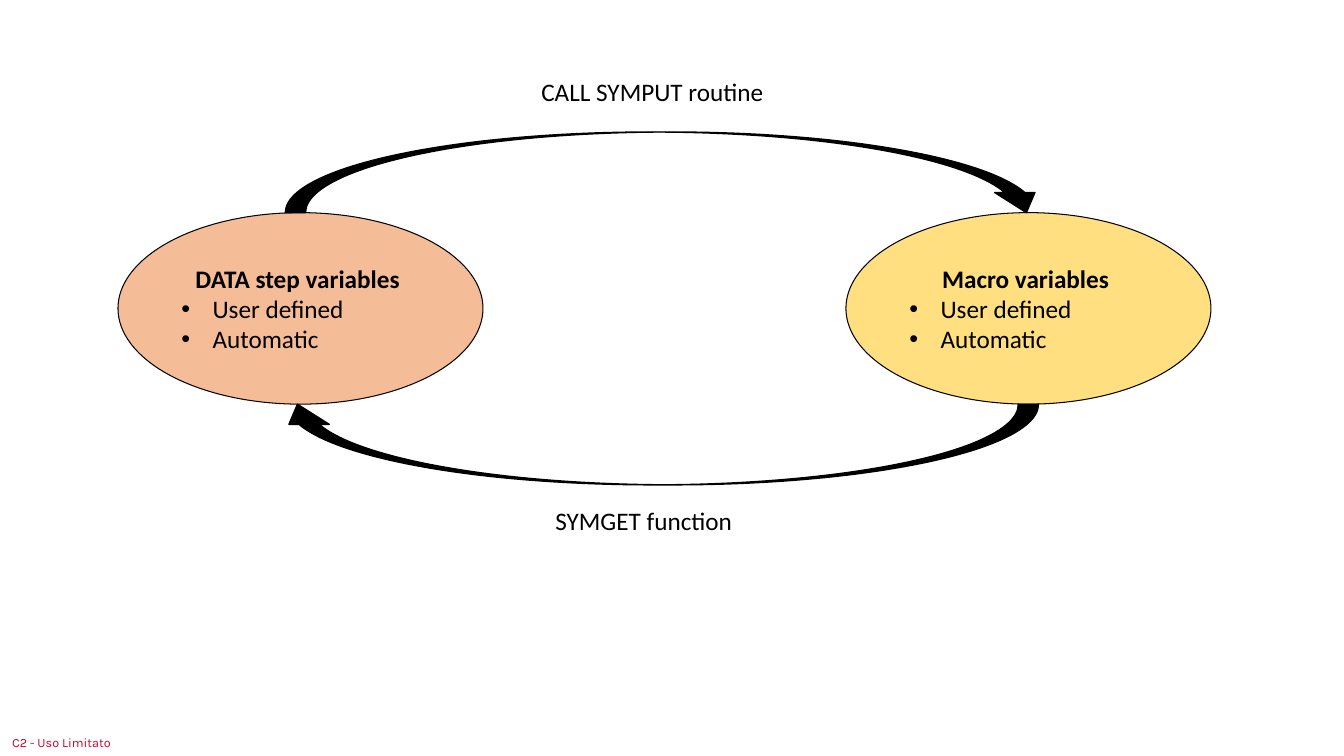
from lxml import etree
from pptx import Presentation
from pptx.dml.color import RGBColor
from pptx.enum.shapes import MSO_SHAPE
from pptx.enum.text import MSO_ANCHOR, PP_ALIGN
from pptx.oxml.ns import qn
from pptx.util import Inches, Pt

OVAL, CURVED_ARROW = MSO_SHAPE.OVAL, MSO_SHAPE.CURVED_DOWN_ARROW
MIDDLE, TOP = MSO_ANCHOR.MIDDLE, MSO_ANCHOR.TOP
CENTER, LEFT = PP_ALIGN.CENTER, PP_ALIGN.LEFT

COLORS = {"ink": "000000", "orange": "ED7D31", "gold": "FFC000", "red": "CF022B"}
BODY = {"name": "Calibri", "size": Pt(18), "bold": False}
HEADING = {**BODY, "bold": True}
SMALL = {"name": "Karla", "size": Pt(9), "bold": False}

# heading (its closing space shifts the centred line), left, colour
VARIABLE_GROUPS = [
    ("DATA step variables ", 1.17, "orange"),
    ("Macro variables ", 8.39, "gold"),
]
VARIABLE_KINDS = ["User defined", "Automatic"]
OVAL_TOP, OVAL_WIDTH, OVAL_HEIGHT = 2.11, 3.62, 1.9
ARROW_WIDTH, ARROW_HEIGHT = 7.55, 0.8
# left, top, rotation
ARROWS = [
    (2.83, OVAL_TOP - ARROW_HEIGHT, 0),
    (2.75, OVAL_TOP + OVAL_HEIGHT, 180),
]
# text, box, format, colour, anchor, margins (left and right, top and bottom)
LABELS = [
    ("CALL SYMPUT routine", (5.27, 0.71, 2.51, 0.4), BODY, "ink", TOP, (0.1, 0.05)),
    ("SYMGET function", (5.41, 4.96, 2.51, 0.4), BODY, "ink", TOP, (0.1, 0.05)),
    ("C2 - Uso Limitato", (0, 7.23, 1.25, 0.27), SMALL, "red", MIDDLE, (0.12, 0)),
]
BULLET_INDENT = 0.31


def color(name):
    return RGBColor.from_string(COLORS[name])


def write(paragraph, text, font_format, color_name, alignment=LEFT):
    paragraph.alignment = alignment
    run = paragraph.add_run()
    run.text = text
    for name, value in font_format.items():
        setattr(run.font, name, value)
    run.font.color.rgb = color(color_name)


def add_bullet(paragraph):
    properties = paragraph._p.get_or_add_pPr()
    properties.set("marL", str(Inches(BULLET_INDENT)))
    properties.set("indent", str(-Inches(BULLET_INDENT)))
    etree.SubElement(properties, qn("a:buFont")).set("typeface", "Arial")
    etree.SubElement(properties, qn("a:buChar")).set("char", "•")


def add_filled_shape(slide, kind, box, fill, line_width):
    shape = slide.shapes.add_shape(kind, *map(Inches, box))
    shape.shadow.inherit = False
    shape.fill.solid()
    shape.fill.fore_color.rgb = color(fill)
    shape.line.color.rgb = color("ink")
    shape.line.width = Pt(line_width)
    return shape


def add_variable_group(slide, heading, left, fill):
    box = (left, OVAL_TOP, OVAL_WIDTH, OVAL_HEIGHT)
    oval = add_filled_shape(slide, OVAL, box, fill, 0.75)
    fill_color = oval._element.spPr.find(qn("a:solidFill"))[0]
    etree.SubElement(fill_color, qn("a:alpha")).set("val", "50000")
    frame = oval.text_frame
    frame.word_wrap = True
    frame.vertical_anchor = MIDDLE
    write(frame.paragraphs[0], heading, HEADING, "ink", CENTER)
    for kind in VARIABLE_KINDS:
        paragraph = frame.add_paragraph()
        write(paragraph, kind, BODY, "ink")
        add_bullet(paragraph)


def add_label(slide, text, box, font_format, color_name, anchor, margins):
    frame = slide.shapes.add_textbox(*map(Inches, box)).text_frame
    frame.word_wrap = True
    frame.vertical_anchor = anchor
    frame.margin_left = Inches(margins[0])
    frame.margin_right = Inches(margins[0])
    frame.margin_top = frame.margin_bottom = Inches(margins[1])
    write(frame.paragraphs[0], text, font_format, color_name)


def main():
    presentation = Presentation()
    presentation.slide_width = Inches(13.33)
    presentation.slide_height = Inches(7.5)
    slide = presentation.slides.add_slide(presentation.slide_layouts[6])
    for group in VARIABLE_GROUPS:
        add_variable_group(slide, *group)
    for left, top, rotation in ARROWS:
        box = (left, top, ARROW_WIDTH, ARROW_HEIGHT)
        add_filled_shape(slide, CURVED_ARROW, box, "ink", 1).rotation = rotation
    for label in LABELS:
        add_label(slide, *label)
    presentation.save("out.pptx")


if __name__ == "__main__":
    main()
